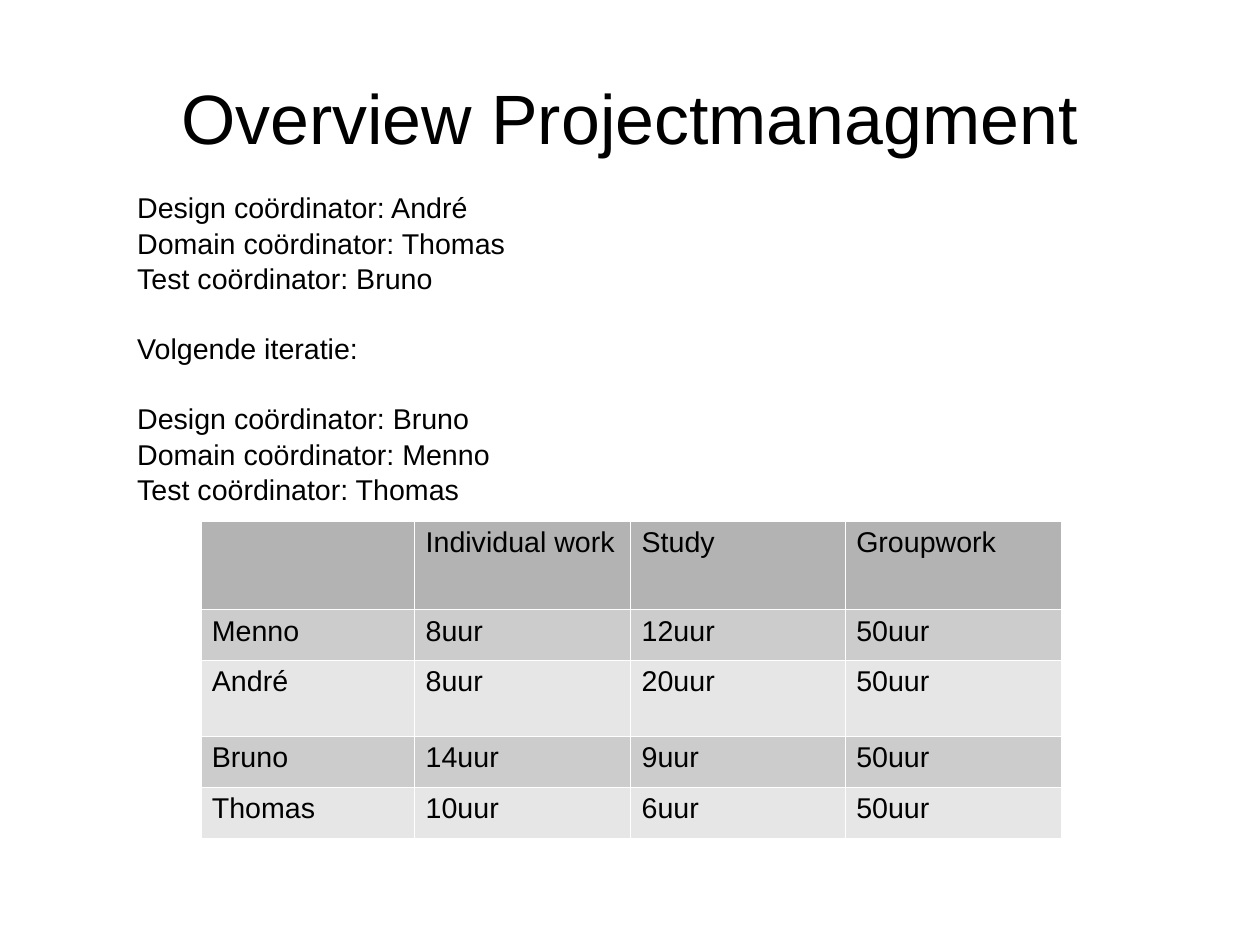
from dataclasses import dataclass

from lxml.etree import SubElement
from pptx import Presentation
from pptx.dml.color import RGBColor
from pptx.enum.text import MSO_ANCHOR as Anchor, PP_ALIGN as Align
from pptx.oxml.ns import qn
from pptx.slide import Slide
from pptx.table import _Cell as Cell
from pptx.text.text import _Paragraph as Paragraph
from pptx.util import Cm, Pt

BLACK = RGBColor(0x00, 0x00, 0x00)
WHITE = RGBColor(0xFF, 0xFF, 0xFF)
HEADER_GREY = RGBColor(0xB3, 0xB3, 0xB3)
DARK_BAND = RGBColor(0xCC, 0xCC, 0xCC)
LIGHT_BAND = RGBColor(0xE6, 0xE6, 0xE6)
FONT = "Arial"
BODY_SIZE = 18
TITLE_SIZE = 44
LINE_SPACING = 1.04
GROUP_GAP = Pt(21.6)
BORDER_WIDTH = Pt(0.06)
INSET_X, INSET_Y = Cm(0.25), Cm(0.13)
COLUMN_WIDTHS = [4.75, 4.8, 4.77, 4.8]


@dataclass
class HoursRow:
    height: float
    fill: RGBColor
    texts: list[str]


COORDINATOR_GROUPS = [
    ["Design coördinator: André", "Domain coördinator: Thomas", "Test coördinator: Bruno"],
    ["Volgende iteratie:"],
    ["Design coördinator: Bruno", "Domain coördinator: Menno", "Test coördinator: Thomas"],
]
HOURS_ROWS = [
    HoursRow(1.96, HEADER_GREY, ["", "Individual work", "Study", "Groupwork"]),
    HoursRow(1.13, DARK_BAND, ["Menno", "8uur", "12uur", "50uur"]),
    HoursRow(1.69, LIGHT_BAND, ["André", "8uur", "20uur", "50uur"]),
    HoursRow(1.13, DARK_BAND, ["Bruno", "14uur", "9uur", "50uur"]),
    HoursRow(1.13, LIGHT_BAND, ["Thomas", "10uur", "6uur", "50uur"]),
]


def add_span(para: Paragraph, text: str, size: float = BODY_SIZE) -> None:
    span = para.add_run()
    span.text = text
    span.font.name = FONT
    span.font.size = Pt(size)
    span.font.color.rgb = BLACK


def add_title(page: Slide) -> None:
    box = page.shapes.add_textbox(Cm(1.4), Cm(0.84), Cm(25.2), Cm(3.5))
    frame = box.text_frame
    frame.word_wrap = True
    frame.vertical_anchor = Anchor.MIDDLE
    frame.margin_left = frame.margin_right = frame.margin_top = frame.margin_bottom = 0
    para = frame.paragraphs[0]
    para.alignment = Align.CENTER
    add_span(para, "Overview Projectmanagment", TITLE_SIZE)


def add_coordinators(page: Slide) -> None:
    box = page.shapes.add_textbox(Cm(2.8), Cm(4.06), Cm(23.8), Cm(7.37))
    frame = box.text_frame
    frame.word_wrap = True
    frame.margin_left = frame.margin_right = INSET_X
    frame.margin_top = frame.margin_bottom = INSET_Y
    for group_index, group in enumerate(COORDINATOR_GROUPS):
        for line_index, line in enumerate(group):
            is_first = group_index == line_index == 0
            para = frame.paragraphs[0] if is_first else frame.add_paragraph()
            para.line_spacing = LINE_SPACING
            if line_index == 0 and not is_first:
                para.space_before = GROUP_GAP
            add_span(para, line)


def set_borders(cell: Cell) -> None:
    properties = cell._tc.get_or_add_tcPr()
    for index, side in enumerate(("a:lnL", "a:lnR", "a:lnT", "a:lnB")):
        line = properties.makeelement(qn(side), {"w": str(int(BORDER_WIDTH))})
        properties.insert(index, line)
        fill = SubElement(line, qn("a:solidFill"))
        SubElement(fill, qn("a:srgbClr"), val=str(WHITE))


def add_hours_table(page: Slide) -> None:
    width = sum(COLUMN_WIDTHS)
    height = sum(row.height for row in HOURS_ROWS)
    table = page.shapes.add_table(
        len(HOURS_ROWS), len(COLUMN_WIDTHS), Cm(4.46), Cm(11.58), Cm(width), Cm(height)
    ).table
    for column, column_width in zip(table.columns, COLUMN_WIDTHS):
        column.width = Cm(column_width)
    for table_row, row in zip(table.rows, HOURS_ROWS):
        table_row.height = Cm(row.height)
        for cell, text in zip(table_row.cells, row.texts):
            cell.fill.solid()
            cell.fill.fore_color.rgb = row.fill
            cell.margin_left = cell.margin_right = INSET_X
            cell.margin_top = cell.margin_bottom = INSET_Y
            set_borders(cell)
            if text:
                add_span(cell.text_frame.paragraphs[0], text)


def main() -> None:
    deck = Presentation()
    deck.slide_width, deck.slide_height = Cm(28), Cm(21)
    page = deck.slides.add_slide(deck.slide_layouts[6])
    add_title(page)
    add_hours_table(page)
    add_coordinators(page)
    deck.save("out.pptx")


if __name__ == "__main__":
    main()
